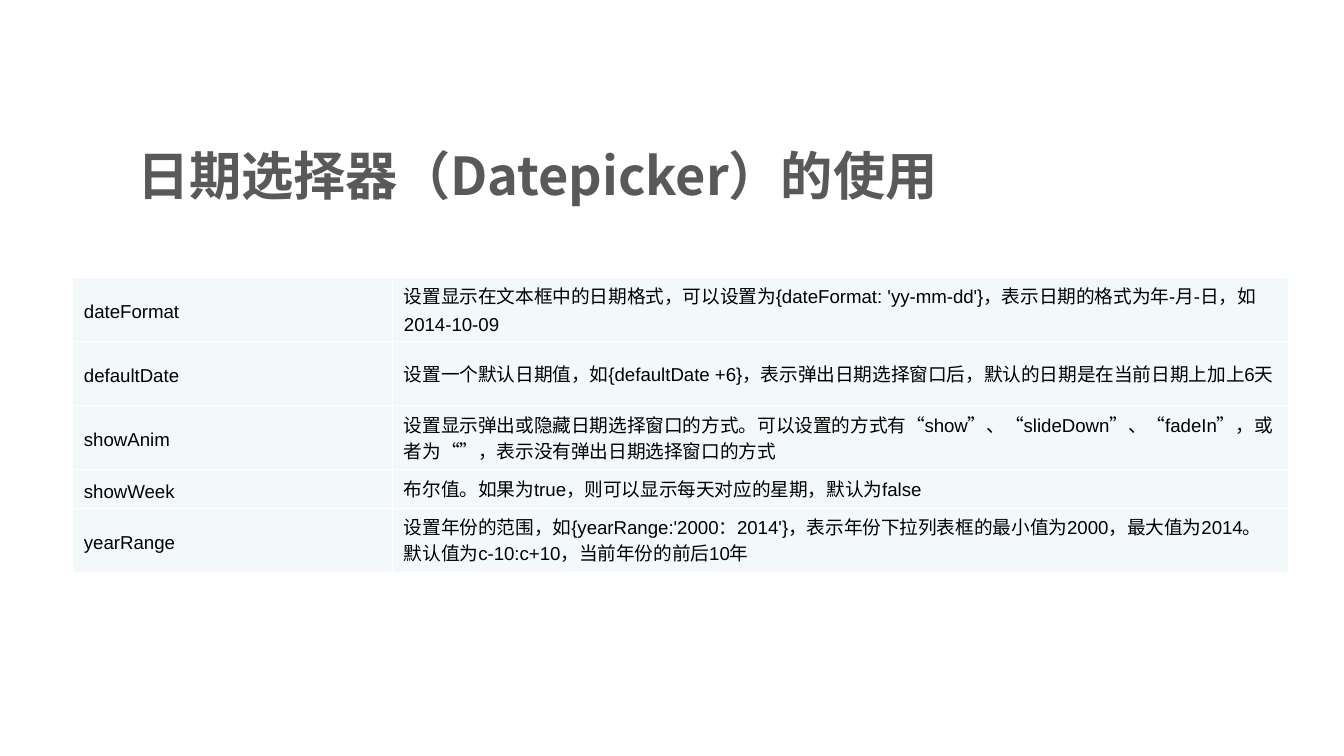
import pptx
import pptx.dml.color
import pptx.enum.lang
import pptx.enum.text
import pptx.oxml
import pptx.oxml.ns
import pptx.util
from lxml import etree

PX = 914400 / 134.4
CJK_FONT = "Noto Sans CJK SC"
ROWS = [
    ("dateFormat", "设置显示在文本框中的日期格式，可以设置为{dateFormat: 'yy-mm-dd'}，表示日期的格式为年-月-日，如2014-10-09"),
    ("defaultDate", "设置一个默认日期值，如{defaultDate +6}，表示弹出日期选择窗口后，默认的日期是在当前日期上加上6天"),
    ("showAnim", "设置显示弹出或隐藏日期选择窗口的方式。可以设置的方式有“show”、“slideDown”、“fadeIn”，或者为“”，表示没有弹出日期选择窗口的方式"),
    ("showWeek", "布尔值。如果为true，则可以显示每天对应的星期，默认为false"),
    ("yearRange", "设置年份的范围，如{yearRange:'2000：2014'}，表示年份下拉列表框的最小值为2000，最大值为2014。默认值为c-10:c+10，当前年份的前后10年"),
]
COL_WIDTHS = (320, 896)
ROW_HEIGHTS = (59, 59, 59, 30, 59)


def px(n):
    return pptx.util.Emu(round(n * PX))


def rgb(value):
    return pptx.dml.color.RGBColor.from_string(value)


def style_run(r, size, font, color, bold=False):
    r.font.size = pptx.util.Pt(size)
    r.font.bold = bold
    r.font.color.rgb = rgb(color)
    r.font.name = font
    r.font.language_id = pptx.enum.lang.MSO_LANGUAGE_ID.SIMPLIFIED_CHINESE
    ea = etree.SubElement(r.font._element, pptx.oxml.ns.qn("a:ea"))
    ea.set("typeface", CJK_FONT)


def set_borders(cell, color, width):
    tcPr = cell._tc.get_or_add_tcPr()
    for i, side in enumerate(("lnL", "lnR", "lnT", "lnB")):
        tcPr.insert(i, pptx.oxml.parse_xml(
            f'<a:{side} {pptx.oxml.ns.nsdecls("a")} w="{pptx.util.Pt(width)}">'
            f'<a:solidFill><a:srgbClr val="{color}"/></a:solidFill></a:{side}>'))


def add_title(s, x, y, w, h, text):
    tf = s.shapes.add_textbox(px(x), px(y), px(w), px(h)).text_frame
    tf.word_wrap = True
    tf.vertical_anchor = pptx.enum.text.MSO_ANCHOR.MIDDLE
    tf.text = text
    style_run(tf.paragraphs[0].runs[0], 28, CJK_FONT, "595959", bold=True)


def fill_cell(cell, text):
    cell.fill.solid()
    cell.fill.fore_color.rgb = rgb("F3F9FA")
    set_borders(cell, "FFFFFF", 0.45)
    cell.vertical_anchor = pptx.enum.text.MSO_ANCHOR.MIDDLE
    cell.margin_left = cell.margin_right = px(12)
    cell.margin_top = cell.margin_bottom = px(6)
    p = cell.text_frame.paragraphs[0]
    p.text = text
    p.line_spacing = pptx.util.Pt(14)
    style_run(p.runs[0], 10, "Arial", "000000")


def add_option_table(s, x, y):
    """Two columns: option name and its explanation."""
    table = s.shapes.add_table(
        len(ROWS), len(COL_WIDTHS), px(x), px(y),
        px(sum(COL_WIDTHS)), px(sum(ROW_HEIGHTS))).table
    table.first_row = table.horz_banding = False
    for col, width in zip(table.columns, COL_WIDTHS):
        col.width = px(width)
    for row, height, texts in zip(table.rows, ROW_HEIGHTS, ROWS):
        row.height = px(height)
        for cell, text in zip(row.cells, texts):
            fill_cell(cell, text)


def main():
    prs = pptx.Presentation()
    prs.slide_width, prs.slide_height = px(1344), px(756)
    s = prs.slides.add_slide(prs.slide_layouts[6])
    add_option_table(s, 72, 277)
    add_title(s, 124, 132, 964, 85, "日期选择器（Datepicker）的使用")
    prs.save("out.pptx")


if __name__ == "__main__":
    main()
